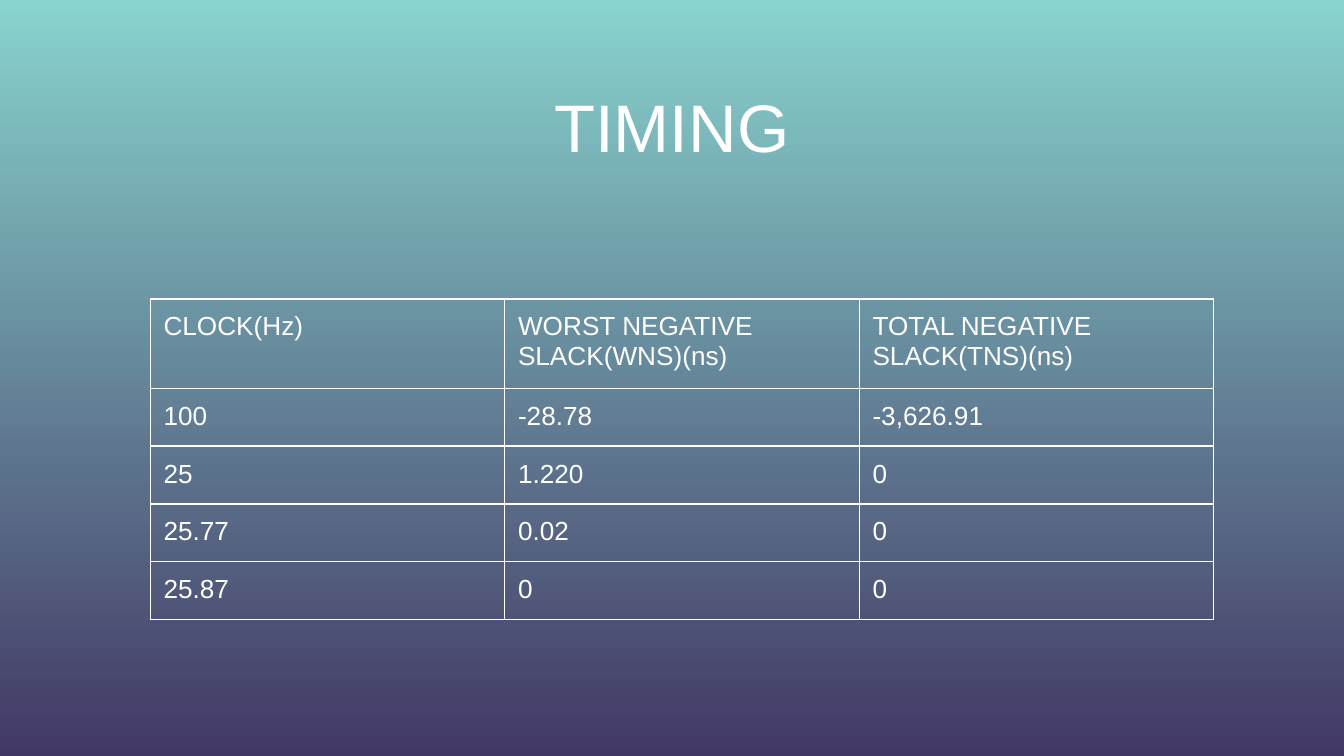
import pptx
import pptx.dml.color
import pptx.enum.text
import pptx.oxml
import pptx.oxml.ns
import pptx.util

Cm = pptx.util.Cm
WHITE = "FFFFFF"


def rgb(value):
    return pptx.dml.color.RGBColor.from_string(value)


def style(p, size):
    for r in p.runs:
        r.font.name = "Arial"
        r.font.size = pptx.util.Pt(size)
        r.font.color.rgb = rgb(WHITE)


prs = pptx.Presentation()
prs.slide_width, prs.slide_height = Cm(25.4), Cm(14.29)
s = prs.slides.add_slide(prs.slide_layouts[6])

# Background: vertical gradient
fill = s.background.fill
fill.gradient()
fill.gradient_angle = 270
for stop, color in zip(fill.gradient_stops, ("88D3CE", "423864")):
    stop.color.rgb = rgb(color)

# Title
sp = s.shapes.add_textbox(Cm(1.5), Cm(1.22), Cm(22.4), Cm(1.85))
tf = sp.text_frame
tf.word_wrap = True
tf.margin_left = tf.margin_right = tf.margin_bottom = Cm(0.25)
tf.margin_top = Cm(0.4)
p = tf.paragraphs[0]
p.text = "TIMING"
p.alignment = pptx.enum.text.PP_ALIGN.CENTER
style(p, 36)

# Timing table
rows = [
    ("CLOCK(Hz)", "WORST NEGATIVE SLACK(WNS)(ns)", "TOTAL NEGATIVE SLACK(TNS)(ns)"),
    ("100", "-28.78", "-3,626.91"),
    ("25", "1.220", "0"),
    ("25.77", "0.02", "0"),
    ("25.87", "0", "0"),
]
header_height, row_height, col_width = Cm(1.62), Cm(1.06), Cm(6.7)
table = s.shapes.add_table(
    len(rows), 3, Cm(2.84), Cm(5.65),
    col_width * 3, header_height + row_height * (len(rows) - 1)).table
table.first_row = table.horz_banding = False
for col in table.columns:
    col.width = col_width

for i, texts in enumerate(rows):
    table.rows[i].height = row_height if i else header_height
    for j, text in enumerate(texts):
        cell = table.cell(i, j)
        cell.margin_left = cell.margin_right = Cm(0.25)
        cell.margin_top = cell.margin_bottom = Cm(0.25)
        cell.text_frame.text = text
        style(cell.text_frame.paragraphs[0], 14)
        cell.fill.background()
        # Borders come before the fill in the cell properties
        tc_pr = cell._tc.get_or_add_tcPr()
        for k, side in enumerate(("lnL", "lnR", "lnT", "lnB")):
            tc_pr.insert(k, pptx.oxml.parse_xml(
                f'<a:{side} {pptx.oxml.ns.nsdecls("a")} w="9525"><a:solidFill>'
                f'<a:srgbClr val="{WHITE}"/></a:solidFill></a:{side}>'))

prs.save("out.pptx")
